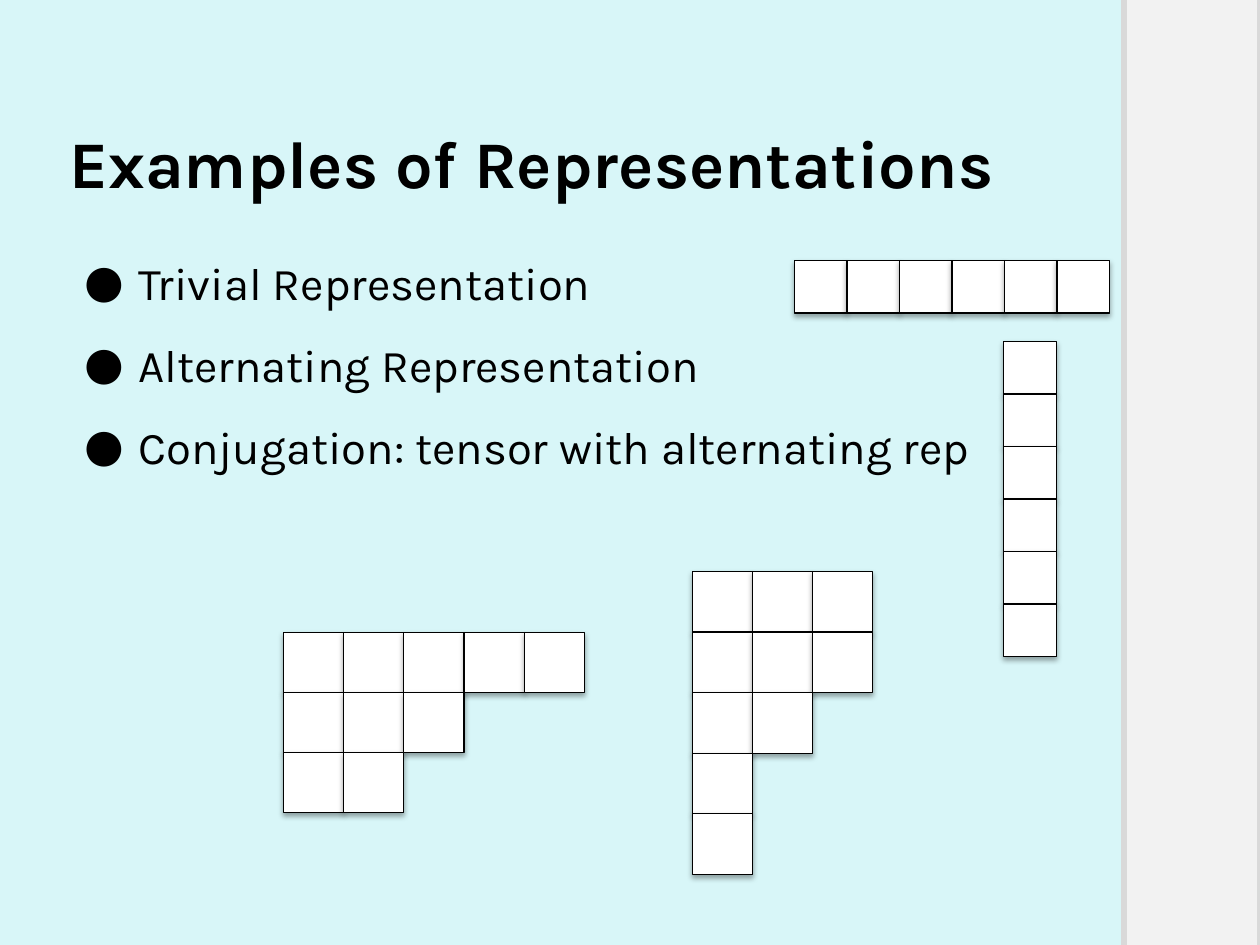
"""Build a slide of example representations with their Young diagrams."""
from lxml.etree import SubElement
from pptx import Presentation
from pptx.dml.color import RGBColor
from pptx.enum.shapes import MSO_SHAPE
from pptx.enum.text import MSO_ANCHOR, MSO_AUTO_SIZE, PP_ALIGN
from pptx.oxml.ns import qn
from pptx.util import Pt

TITLE = "Examples of Representations"
ITEMS = [
    "Trivial Representation",
    "Alternating Representation",
    "Conjugation: tensor with alternating rep",
]
DIAGRAMS = [
    {"left": 395.6, "top": 326.6, "wide": 34.3, "high": 34.6, "rows": [3, 3, 2, 1, 1]},
    {"left": 162, "top": 361.4, "wide": 34.4, "high": 34.3, "rows": [5, 3, 2]},
    {"left": 573.6, "top": 195.2, "wide": 30, "high": 30, "rows": [1] * 6},
    {"left": 454, "top": 149, "wide": 30, "high": 30, "rows": [6]},
]

BLACK = RGBColor(0, 0, 0)
WHITE = RGBColor(255, 255, 255)
AQUA = RGBColor(0xD8, 0xF6, 0xF8)
PALE = RGBColor(0xF2, 0xF2, 0xF2)
GREY = RGBColor(0xD9, 0xD9, 0xD9)

TITLE_FONT = {"name": "Karla", "size": Pt(38), "bold": True}
ITEM_FONT = {"name": "Karla", "size": Pt(26), "bold": False}
TITLE_BOX = {"left": Pt(36), "top": Pt(25.2), "width": Pt(570.2), "height": Pt(90)}
TITLE_FRAME = {
    "margin_left": Pt(3.6), "margin_right": Pt(3.6), "margin_top": 0, "margin_bottom": 0,
    "vertical_anchor": MSO_ANCHOR.BOTTOM, "word_wrap": True, "auto_size": MSO_AUTO_SIZE.NONE,
}
BODY_FRAME = {"word_wrap": True, "auto_size": MSO_AUTO_SIZE.NONE}


def assign(thing, values):
    for name, value in values.items():
        setattr(thing, name, value)


def add_node(parent, tag, **attrs):
    return SubElement(parent, qn(tag), {key: str(val) for key, val in attrs.items()})


def write(para, text, font):
    para.alignment = PP_ALIGN.LEFT
    run = para.add_run()
    run.text = text
    assign(run.font, font)
    run.font.color.rgb = BLACK


def add_bullet(para):
    para.line_spacing = 1.5
    props = para._p.get_or_add_pPr()
    props.set("marL", str(Pt(36)))
    props.set("indent", str(Pt(-31)))
    add_node(add_node(props, "a:buClr"), "a:srgbClr", val=BLACK)
    add_node(props, "a:buFont", typeface="Karla")
    add_node(props, "a:buChar", char="●")


def add_rect(shapes, box, fill, edge, weight):
    rect = shapes.add_shape(MSO_SHAPE.RECTANGLE, *map(Pt, box))
    rect.shadow.inherit = False
    rect.fill.solid()
    rect.fill.fore_color.rgb = fill
    rect.line.color.rgb = edge
    rect.line.width = Pt(weight)
    return rect


def add_shadow(shape):
    effects = shape._element.spPr.find(qn("a:effectLst"))
    shadow = add_node(effects, "a:outerShdw", blurRad=Pt(3.1), dist=Pt(1.8),
                      dir=90 * 60000, rotWithShape=0)
    add_node(add_node(shadow, "a:srgbClr", val=BLACK), "a:alpha", val=35000)


def add_diagram(slide, left, top, wide, high, rows):
    group = slide.shapes.add_group_shape()
    for row, count in enumerate(rows):
        for col in range(count):
            box = (left + col * wide, top + row * high, wide, high)
            add_shadow(add_rect(group.shapes, box, WHITE, BLACK, 0.75))


def main():
    deck = Presentation()
    deck.slide_width, deck.slide_height = Pt(720), Pt(540)
    slide = deck.slides.add_slide(deck.slide_layouts[5])
    slide.background.fill.solid()
    slide.background.fill.fore_color.rgb = AQUA
    add_rect(slide.shapes, (642.2, -5.8, 77.8, 552.2), PALE, GREY, 3.15)

    title = slide.shapes.title
    assign(title, TITLE_BOX)
    assign(title.text_frame, TITLE_FRAME)
    write(title.text_frame.paragraphs[0], TITLE, TITLE_FONT)

    body = slide.shapes.add_textbox(*map(Pt, (36, 126.7, 570.2, 381.6))).text_frame
    assign(body, BODY_FRAME)
    for index, text in enumerate(ITEMS):
        para = body.add_paragraph() if index else body.paragraphs[0]
        add_bullet(para)
        write(para, text, ITEM_FONT)

    for diagram in DIAGRAMS:
        add_diagram(slide, **diagram)
    deck.save("out.pptx")


if __name__ == "__main__":
    main()
